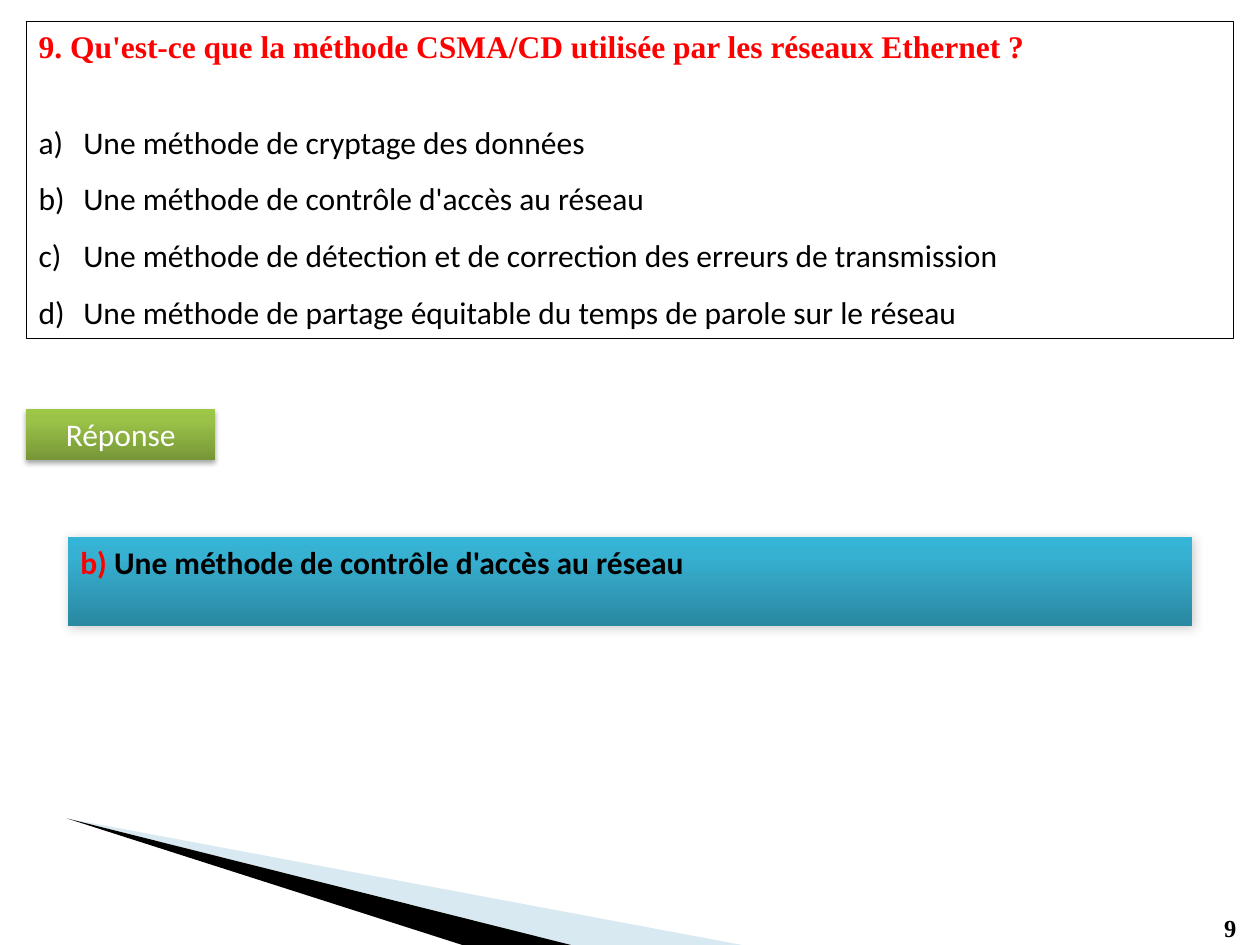
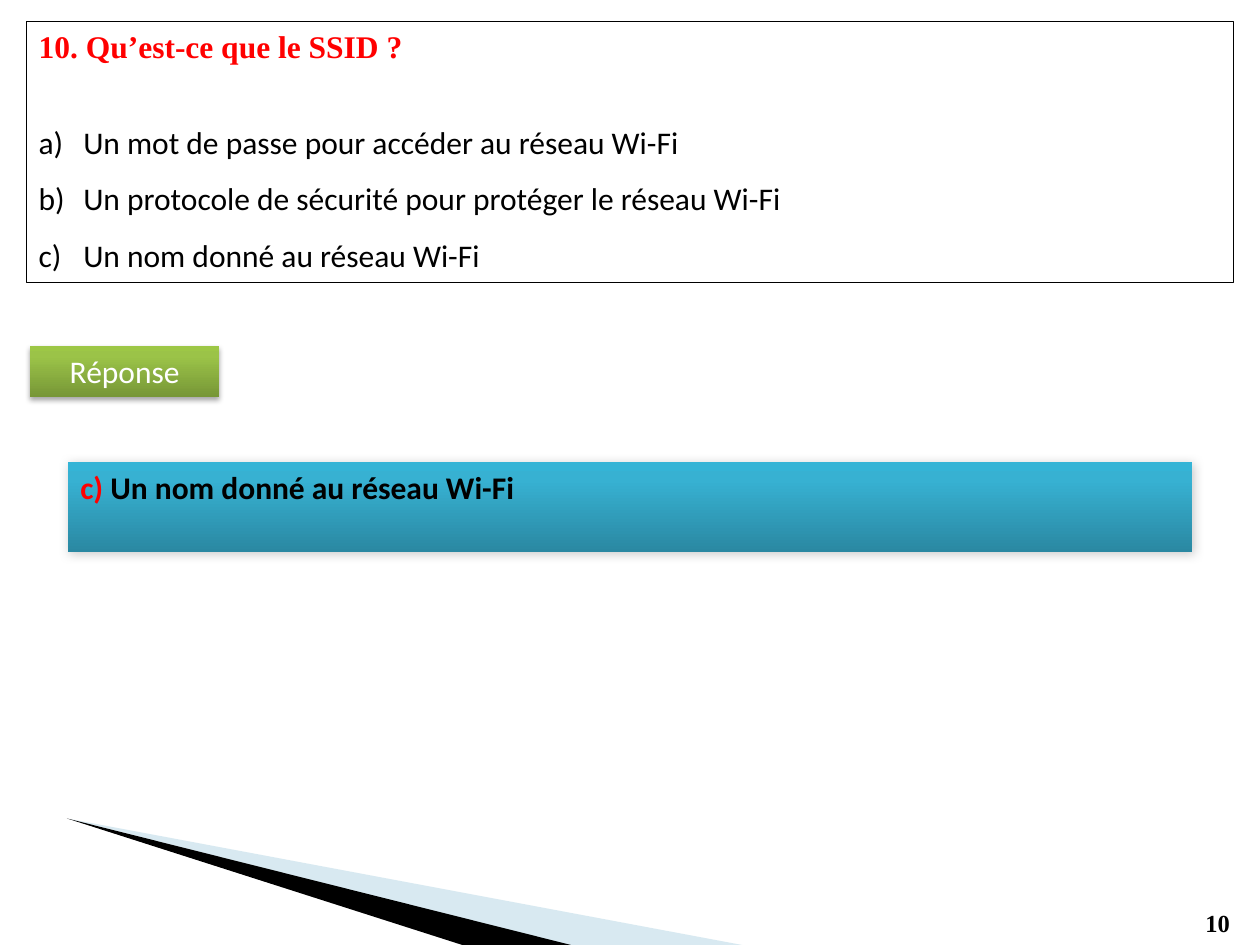
from lxml.etree import SubElement
from pptx import Presentation
from pptx.dml.color import RGBColor
from pptx.enum.shapes import MSO_SHAPE
from pptx.enum.text import MSO_ANCHOR, PP_ALIGN
from pptx.oxml.ns import qn
from pptx.util import Cm, Pt

RED, BLACK, WHITE = "FF0000", "000000", "FFFFFF"
QUESTION = dict(name="Times New Roman", size=Pt(18), bold=True, color=RED)
OPTION = dict(name="Calibri", size=Pt(18), bold=False, color=BLACK)
LABEL = dict(OPTION, color=WHITE)
ANSWER = dict(OPTION, bold=True)
LETTER = dict(ANSWER, color=RED)
NUMBER = dict(QUESTION, size=Pt(14), color=BLACK)

# Gradient stops, then shadow opacity (%), blur (pt), distance (pt), direction
GREEN = [(0, "779737"), (80, "9BC348"), (100, "9DC746")], (35, 3.1, 1.8, 90)
BLUE = [(0, "2A88A2"), (80, "37B1D2"), (100, "34B4D6")], (20, 6, 1, 45)

# Outline points in cm, fill and opacity (%)
WEDGES = [
    ([(1.4, 16.51), (11.46, 19.05), (14.96, 19.05)], "9FCADC", 40),
    ([(1.35, 16.5), (9.32, 19.05), (11.51, 19.05)], BLACK, 100),
]

# Question, options, index of the answer, then positions in cm:
# question height, label left and top, answer top, number left, top and width
QUIZ = [
    ("Qu'est-ce que la méthode CSMA/CD utilisée par les réseaux Ethernet ?",
     ["Une méthode de cryptage des données",
      "Une méthode de contrôle d'accès au réseau",
      "Une méthode de détection et de correction des erreurs de transmission",
      "Une méthode de partage équitable du temps de parole sur le réseau"],
     1, 6.4, (0.53, 8.25), 10.82, (24.43, 18.29, 0.91)),
    ("Qu’est-ce que le SSID ?",
     ["Un mot de passe pour accéder au réseau Wi-Fi",
      "Un protocole de sécurité pour protéger le réseau Wi-Fi",
      "Un nom donné au réseau Wi-Fi"],
     2, 5.26, (0.61, 6.98), 9.32, (24.05, 18.19, 1.35)),
]


def add_run(p, text, style):
    r = p.add_run()
    r.text = text
    for key, value in style.items():
        if key == "color":
            r.font.color.rgb = RGBColor.from_string(value)
        else:
            setattr(r.font, key, value)


def add_box(slide, left, top, width, height, look=None):
    """Add a rectangle: gradient with shadow if a look is given, else outlined."""
    s = slide.shapes.add_shape(MSO_SHAPE.RECTANGLE, Cm(left), Cm(top), Cm(width), Cm(height))
    s.shadow.inherit = False
    s.text_frame.vertical_anchor = MSO_ANCHOR.TOP
    if look is None:
        s.fill.background()
        s.line.color.rgb = RGBColor.from_string(BLACK)
        s.line.width = Pt(0.75)
        return s
    stops, (alpha, blur, dist, angle) = look
    s.line.fill.background()
    s.fill.gradient()
    s.fill.gradient_angle = 90
    gs_list = next(s.element.iter(qn("a:gsLst")))
    gs_list.clear()
    for pos, color in stops:
        gs = SubElement(gs_list, qn("a:gs"), pos=str(pos * 1000))
        SubElement(gs, qn("a:srgbClr"), val=color)
    effects = next(s.element.iter(qn("a:effectLst")))
    shadow = SubElement(effects, qn("a:outerShdw"), blurRad=str(Pt(blur)), dist=str(Pt(dist)),
                        dir=str(angle * 60000), algn="ctr", rotWithShape="0")
    color = SubElement(shadow, qn("a:srgbClr"), val=BLACK)
    SubElement(color, qn("a:alpha"), val=str(alpha * 1000))
    return s


prs = Presentation()
prs.slide_width, prs.slide_height = Cm(25.4), Cm(19.05)
blank = prs.slide_layouts[6]
slides = [prs.slides.add_slide(blank) for _ in QUIZ]

# The corner wedges go into the layout that all slides share
for points, color, alpha in WEDGES:
    start, *others = [(Cm(x), Cm(y)) for x, y in points]
    builder = slides[0].shapes.build_freeform(*start)
    builder.add_line_segments(others)
    s = builder.convert_to_shape()
    s.shadow.inherit = False
    s.line.fill.background()
    s.fill.solid()
    s.fill.fore_color.rgb = RGBColor.from_string(color)
    if alpha < 100:
        SubElement(next(s.element.iter(qn("a:srgbClr"))), qn("a:alpha"), val=str(alpha * 1000))
    blank.shapes.element.append(s.element)

for n, (slide, quiz) in enumerate(zip(slides, QUIZ), start=9):
    question, options, right, height, label_at, answer_top, (left, top, width) = quiz

    s = slide.shapes.add_textbox(Cm(left), Cm(top), Cm(width), Cm(0.86))
    s.text_frame.word_wrap = True
    add_run(s.text_frame.paragraphs[0], str(n), NUMBER)

    tf = add_box(slide, 0.53, 0.43, 24.34, height).text_frame
    p = tf.paragraphs[0]
    p.alignment = PP_ALIGN.LEFT
    add_run(p, f"{n}. {question}", QUESTION)
    for i, option in enumerate(options):
        p = tf.add_paragraph()
        p.alignment = PP_ALIGN.LEFT
        p.line_spacing = 1.5
        if i == 0:
            p.space_before = Pt(22)
        pPr = p._p.get_or_add_pPr()
        pPr.set("marL", str(Cm(0.9)))
        pPr.set("indent", str(-Cm(0.9)))
        SubElement(pPr, qn("a:buAutoNum"), type="alphaLcParenR")
        add_run(p, option, OPTION)

    p = add_box(slide, *label_at, 3.81, 1.02, GREEN).text_frame.paragraphs[0]
    p.alignment = PP_ALIGN.CENTER
    add_run(p, "Réponse", LABEL)

    p = add_box(slide, 1.37, answer_top, 22.66, 1.8, BLUE).text_frame.paragraphs[0]
    p.alignment = PP_ALIGN.JUSTIFY
    add_run(p, f"{'abcd'[right]}) ", LETTER)
    add_run(p, options[right], ANSWER)

prs.save("out.pptx")
